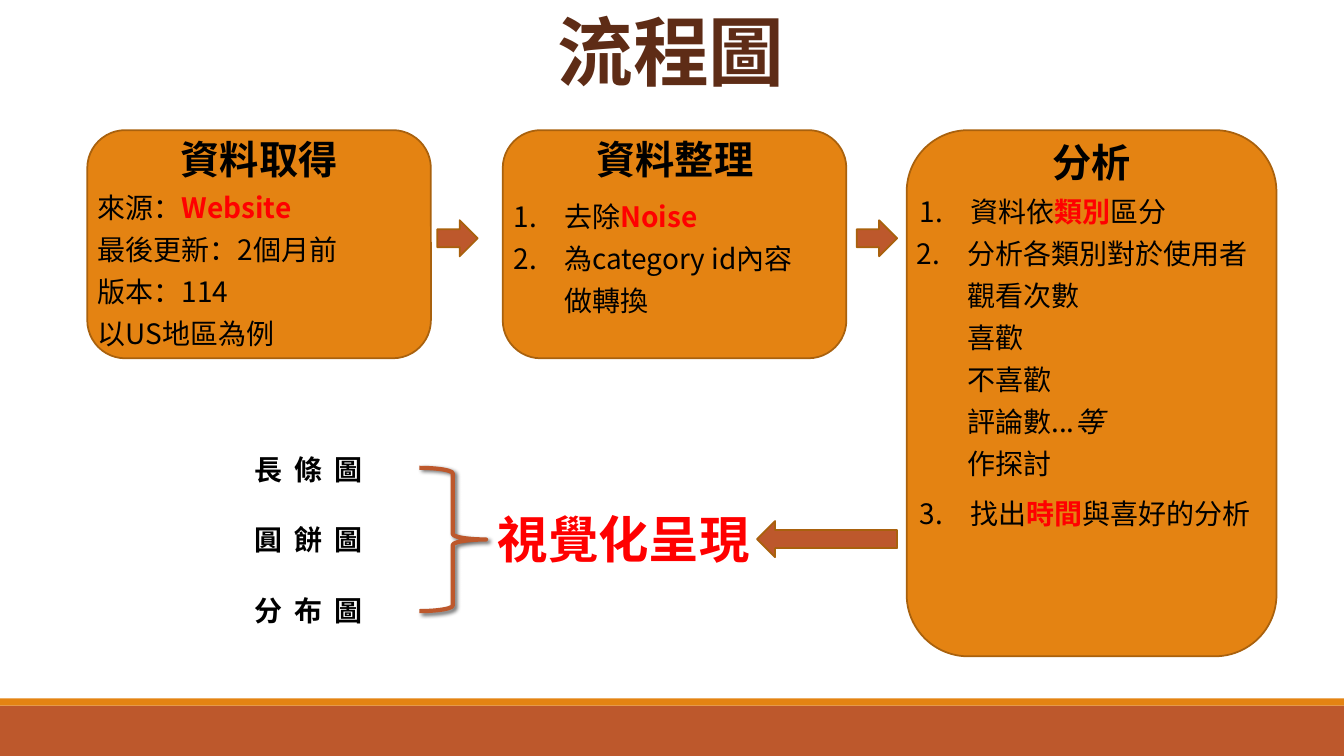
from lxml.etree import SubElement
from pptx import Presentation
from pptx.dml.color import RGBColor
from pptx.enum.shapes import MSO_SHAPE
from pptx.enum.text import MSO_ANCHOR, MSO_AUTO_SIZE, PP_ALIGN
from pptx.oxml import parse_xml
from pptx.oxml.ns import nsdecls, qn
from pptx.util import Cm, Pt

FONT = "Noto Sans CJK SC"
BLACK = RGBColor(0x00, 0x00, 0x00)
RED = RGBColor(0xFF, 0x00, 0x00)
BROWN = RGBColor(0x5E, 0x2C, 0x16)
ORANGE = RGBColor(0xE4, 0x83, 0x12)
RUST = RGBColor(0xBD, 0x58, 0x2C)
OUTLINE = RGBColor(0xA9, 0x61, 0x0D)

SHADOW = (
    f'<a:effectLst {nsdecls("a")}><a:outerShdw blurRad="38100" dist="25400" '
    'dir="2700000" rotWithShape="0"><a:srgbClr val="000000">'
    '<a:alpha val="60000"/></a:srgbClr></a:outerShdw></a:effectLst>'
)


class FlowSlide:
    """Holds the style and the current slide; lengths are centimetres."""

    def __init__(self, deck, layout):
        self.page = deck.slides.add_slide(layout)

    def shape(self, kind, area, fill=None, line=None, width=1.25):
        shape = self.page.shapes.add_shape(kind, *map(Cm, area))
        shape.shadow.inherit = False
        if fill is None:
            shape.fill.background()
        else:
            shape.fill.solid()
            shape.fill.fore_color.rgb = fill
        if line is None:
            shape.line.fill.background()
        else:
            shape.line.color.rgb = line
            shape.line.width = Pt(width)
        return shape

    def arrow(self, area, leftward=False):
        arrow = self.shape(MSO_SHAPE.RIGHT_ARROW, area, RUST, OUTLINE)
        if leftward:
            arrow._element.spPr.get_or_add_xfrm().set("flipH", "1")

    def brace(self, area):
        brace = self.shape(MSO_SHAPE.RIGHT_BRACE, area, line=RUST, width=3)
        properties = brace._element.spPr
        properties.replace(properties.find(qn("a:effectLst")), parse_xml(SHADOW))

    def span(self, para, text, size, color=BLACK, bold=False, italic=False):
        span = para.add_run()
        span.text = text
        font = span.font
        font.name, font.size = FONT, Pt(size)
        font.bold, font.italic = bold, italic
        font.color.rgb = color
        SubElement(font._element, qn("a:ea"), typeface=FONT)
        return span

    def text_box(self, index, area):
        """Place a template placeholder on top of the shapes drawn so far."""
        box = self.page.placeholders[index]
        box.left, box.top, box.width, box.height = map(Cm, area)
        self.page.shapes._spTree.append(box._element)
        frame = box.text_frame
        frame.word_wrap = True
        frame.auto_size = MSO_AUTO_SIZE.SHAPE_TO_FIT_TEXT
        frame.vertical_anchor = MSO_ANCHOR.TOP
        return frame

    def format_para(self, para, indent=0, numbered=False, before=0):
        para.space_before = Pt(before)
        properties = para._p.get_or_add_pPr()
        properties.set("marL", str(Cm(indent)))
        properties.set("indent", str(Cm(-1.27 if numbered else 0)))
        if numbered:
            SubElement(properties, qn("a:buFont"), typeface="+mj-lt")
            SubElement(properties, qn("a:buAutoNum"), type="arabicPeriod")
        else:
            SubElement(properties, qn("a:buNone"))

    def heading(self, index, area, text, size, color=BLACK):
        frame = self.text_box(index, area)
        para = frame.paragraphs[0]
        para.alignment = PP_ALIGN.CENTER
        para.line_spacing = 1.0
        self.format_para(para)
        self.span(para, text, size, color, bold=True)
        return frame

    def step(self, index, area, title, lines):
        """A heading and its lines: (kind, indent, space before, spans)."""
        frame = self.heading(index, area, title, 28)
        for kind, indent, before, spans in lines:
            para = frame.add_paragraph()
            para.alignment = PP_ALIGN.LEFT
            para.line_spacing = Pt(30)
            para.level = 1 if kind == "sub" else 0
            self.format_para(para, indent, kind == "number", before)
            for text, style in spans:
                if text == "\n":
                    para.add_line_break()
                else:
                    self.span(para, text, 20, **style)

    def chart_list(self, area, names):
        frame = self.page.shapes.add_table(len(names), 1, *map(Cm, area))
        table = frame.table
        table.first_row = table.horz_banding = False
        for row, name in enumerate(names):
            cell = table.cell(row, 0)
            cell.fill.background()
            cell.vertical_anchor = MSO_ANCHOR.MIDDLE
            para = cell.text_frame.paragraphs[0]
            para.alignment = PP_ALIGN.CENTER
            span = self.span(para, name, 20, bold=True)
            span.font._element.set("spc", "200")


PLAIN, KEY, SLANTED = {}, {"color": RED, "bold": True}, {"italic": True}


def plain(text):
    return ("plain", 0, 0, [(text, PLAIN)])


def sub(*spans):
    return ("sub", 1.27, 0, spans)


def number(*spans, indent=1.27, before=0):
    return ("number", indent, before, spans)


SOURCE_LINES = [
    ("plain", 0, 0, [("來源：", PLAIN), ("Website", KEY), ("\n", PLAIN),
                     ("最後更新：2個月前", PLAIN)]),
    plain("版本：114"),
    plain("以US地區為例"),
]
CLEANING_LINES = [
    number(("去除", PLAIN), ("Noise", KEY), before=6),
    number(("為category id內容", PLAIN)),
    sub(("做轉換", PLAIN)),
]
ANALYSIS_LINES = [
    number(("資料依", PLAIN), ("類別", KEY), ("區分", PLAIN), indent=1.35),
    number(("分析各類別對於使用者", PLAIN)),
    *[sub((text, PLAIN)) for text in ("觀看次數", "喜歡", "不喜歡")],
    sub(("評論數...", PLAIN), ("等", SLANTED)),
    sub(("作探討", PLAIN)),
    number(("找出", PLAIN), ("時間", KEY), ("與喜好的分析", PLAIN),
           indent=1.35, before=6),
]


def main():
    deck = Presentation()
    deck.slide_width, deck.slide_height = Cm(33.87), Cm(19.05)
    slide = FlowSlide(deck, deck.slide_layouts.get_by_name("Comparison"))

    # Footer bands
    slide.shape(MSO_SHAPE.RECTANGLE, (0, 17.78, 33.87, 1.27), RUST)
    slide.shape(MSO_SHAPE.RECTANGLE, (0, 17.6, 33.87, 0.18), ORANGE)

    # Title
    slide.heading(0, (12.25, 0, 9.32, 2.57), "流程圖", 54, BROWN)

    # Step cards
    for left, width, height in ((2.2, 8.66, 5.75), (12.67, 8.66, 5.75),
                                (22.85, 9.32, 13.26)):
        slide.shape(MSO_SHAPE.ROUNDED_RECTANGLE, (left, 3.28, width, height),
                    ORANGE, OUTLINE)
    slide.step(1, (2.2, 3.28, 8.66, 5.75), "資料取得", SOURCE_LINES)
    slide.step(2, (12.69, 3.28, 8.64, 4.88), "資料整理", CLEANING_LINES)
    slide.step(3, (22.85, 3.37, 9.32, 10.2), "分析", ANALYSIS_LINES)

    # Visual output and its chart types
    slide.heading(4, (12.01, 12.67, 7.42, 1.8), "視覺化呈現", 36, RED)
    slide.chart_list((5.26, 10.92, 5.05, 5.31), ("長 條 圖", "圓 餅 圖", "分 布 圖"))
    slide.brace((10.57, 11.79, 1.68, 3.61))

    # Arrows between steps
    slide.arrow((11.02, 5.55, 1.02, 0.91))
    slide.arrow((21.59, 5.55, 1.02, 0.91))
    slide.arrow((19.08, 13.13, 3.53, 0.91), leftward=True)

    deck.save("out.pptx")


if __name__ == "__main__":
    main()
